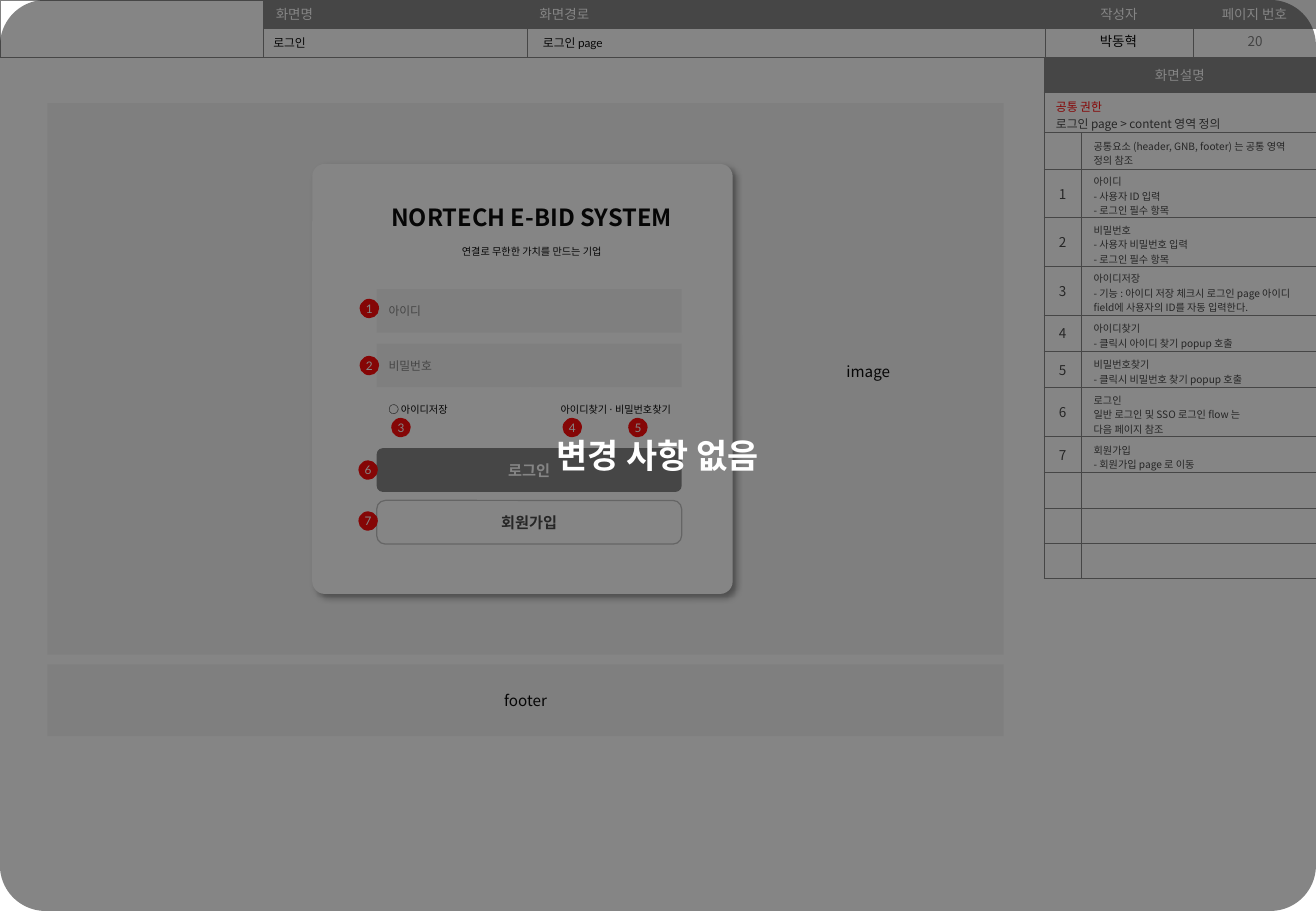
from lxml.etree import SubElement
from pptx import Presentation
from pptx.dml.color import RGBColor
from pptx.enum.shapes import MSO_SHAPE
from pptx.enum.text import MSO_ANCHOR, MSO_AUTO_SIZE, PP_ALIGN
from pptx.oxml.ns import qn
from pptx.util import Inches, Pt

COLORS = {
    "black": "000000", "white": "FFFFFF", "gray": "808080", "number": "797979",
    "dark": "404040", "panel": "F2F2F2", "outline": "BFBFBF", "red": "FF0000",
    "veil": "0D0D0D",
}
FONT, LATIN = "Noto Sans CJK KR", "Lato"
LEFT, CENTER, RIGHT = PP_ALIGN.LEFT, PP_ALIGN.CENTER, PP_ALIGN.RIGHT


def write(frame, text, size, color, align=LEFT, bold=False, font=FONT, margins=(0.1, 0.05)):
    frame.text = text
    frame.word_wrap = True
    frame.auto_size = MSO_AUTO_SIZE.NONE
    frame.vertical_anchor = MSO_ANCHOR.MIDDLE
    frame.margin_left = frame.margin_right = Inches(margins[0])
    frame.margin_top = frame.margin_bottom = Inches(margins[1])
    for para in frame.paragraphs:
        para.alignment = align
        for span in para.runs:
            span.font.size = Pt(size)
            span.font.bold = bold
            span.font.name = font
            span.font.color.rgb = RGBColor.from_string(COLORS[color])
            SubElement(span.font._element, qn("a:ea"), typeface=FONT)


def add_box(left, top, width, height, fill=None, radius=0, line=None):
    box = page.shapes.add_shape(MSO_SHAPE.ROUNDED_RECTANGLE, Inches(left), Inches(top),
                                Inches(width), Inches(height))
    box.adjustments[0] = radius
    box.shadow.inherit = False
    if fill:
        box.fill.solid()
        box.fill.fore_color.rgb = RGBColor.from_string(COLORS[fill])
    else:
        box.fill.background()
    if line:
        box.line.color.rgb = RGBColor.from_string(COLORS[line])
        box.line.width = Pt(0.75)
    else:
        box.line.fill.background()
    return box


deck = Presentation()
deck.slide_width, deck.slide_height = Inches(10.83), Inches(7.5)
page = deck.slides.add_slide(deck.slide_layouts[5])

# Screen name as the slide title
title = page.shapes.title
title.left, title.top, title.width, title.height = map(Inches, (2.15, 0.24, 2.22, 0.22))
write(title.text_frame, "로그인", 7, "black", font=LATIN)

# Header and description tables
header_rows = [["", "화면명", "화면경로", "작성자", "페이지 번호"], [""] * 5]
description_rows = [
    ["화면설명", ""],
    ["공통 권한\n로그인 page > content 영역 정의", ""],
    ["", "공통요소 (header, GNB, footer) 는 공통 영역 정의 참조"],
    ["1", "아이디\n- 사용자 ID 입력\n- 로그인 필수 항목"],
    ["2", "비밀번호\n- 사용자 비밀번호 입력\n- 로그인 필수 항목"],
    ["3", "아이디저장\n- 기능 : 아이디 저장 체크시 로그인 page 아이디 field에 사용자의 ID를 자동 입력한다."],
    ["4", "아이디찾기\n- 클릭시 아이디 찾기 popup 호출"],
    ["5", "비밀번호찾기\n- 클릭시 비밀번호 찾기 popup 호출"],
    ["6", "로그인\n일반 로그인 및 SSO 로그인 flow 는\n다음 페이지 참조"],
    ["7", "회원가입\n- 회원가입 page 로 이동"],
    ["", ""], ["", ""], ["", ""],
]
description_heights = [0.29, 0.33, 0.3, 0.4, 0.4, 0.4, 0.3, 0.3, 0.4, 0.3, 0.29, 0.29, 0.29]
tables = []
for left, top, widths, heights, rows in [
    (0, 0, [2.17, 2.17, 4.26, 1.22, 1.01], [0.23, 0.24], header_rows),
    (8.59, 0.47, [0.31, 1.93], description_heights, description_rows),
]:
    table = page.shapes.add_table(len(rows), len(widths), Inches(left), Inches(top),
                                  Inches(sum(widths)), Inches(sum(heights))).table
    table.first_row = table.horz_banding = False
    for column, width in zip(table.columns, widths):
        column.width = Inches(width)
    for row, height, texts in zip(table.rows, heights, rows):
        row.height = Inches(height)
        for cell, text in zip(row.cells, texts):
            cell.text = text
            cell.vertical_anchor = MSO_ANCHOR.MIDDLE
            cell.margin_left = cell.margin_right = Inches(0.1)
            cell.margin_top = cell.margin_bottom = Inches(0.02)
            for side in ("L", "R", "T", "B"):
                border = SubElement(cell._tc.get_or_add_tcPr(), qn("a:ln" + side), w=str(Pt(0.25)))
                SubElement(SubElement(border, qn("a:solidFill")), qn("a:srgbClr"), val=COLORS["gray"])
            cell.fill.background()
            if not text:
                SubElement(cell.text_frame.paragraphs[0]._p, qn("a:endParaRPr"), sz="600")
    tables.append(table)

header, description = tables
header.cell(0, 0).merge(header.cell(1, 0))
for row in (0, 1):
    description.cell(row, 0).merge(description.cell(row, 1))

# Table text
headings = [(header.cell(0, column), LEFT if column < 3 else CENTER) for column in range(1, 5)]
for cell, align in headings + [(description.cell(0, 0), CENTER)]:
    cell.fill.solid()
    cell.fill.fore_color.rgb = RGBColor.from_string(COLORS["gray"])
    write(cell.text_frame, cell.text, 8, "white", align, margins=(0.1, 0.02))
    cell.margin_top = cell.margin_bottom = Inches(0.02)
for row in range(1, len(description_rows)):
    for column, size in enumerate((7 if row == 1 else 8, 6)):
        cell = description.cell(row, column)
        if not cell.text:
            continue
        numbered = row > 1 and column == 0
        write(cell.text_frame, cell.text, size, "dark", CENTER if numbered else LEFT)
        cell.margin_left = cell.margin_right = Inches(0.02 if numbered else 0.1)
        cell.margin_top = Inches(0.02 if numbered else 0.04)
        cell.margin_bottom = Inches(0.02 if numbered else 0)
common_role = description.cell(1, 0).text_frame.paragraphs[0].runs[0]
common_role.font.color.rgb = RGBColor.from_string(COLORS["red"])

# Header values
for left, top, width, height, text, size, color, align, font in [
    (8.59, 0.22, 1.23, 0.24, "박동혁", 8, "black", CENTER, FONT),
    (9.83, 0.22, 1, 0.24, "20", 8, "number", CENTER, FONT),
    (4.37, 0.24, 4.21, 0.22, "로그인 page", 7, "black", LEFT, LATIN),
]:
    value = page.shapes.add_textbox(Inches(left), Inches(top), Inches(width), Inches(height))
    write(value.text_frame, text, size, color, align, font=font)

# Page areas and login card
footer = add_box(0.39, 5.47, 7.87, 0.59, "panel")
write(footer.text_frame, "footer", 9, "black", CENTER)
add_box(0.39, 0.85, 7.87, 4.54, "panel")
card = add_box(2.57, 1.35, 3.46, 3.54, "white", 0.03)
effects = card._element.spPr.find(qn("a:effectLst"))
shadow = SubElement(effects, qn("a:outerShdw"), blurRad=str(Pt(4)), dist=str(Pt(3)),
                    dir=str(45 * 60000), algn="tl", rotWithShape="0")
shadow_color = SubElement(shadow, qn("a:srgbClr"), val=COLORS["black"])
SubElement(shadow_color, qn("a:alpha"), val="40000")

# Login form
for left, top, width, height, fill, radius, line, text, size, color, align, bold in [
    (3.12, 1.93, 2.51, 0.28, "white", 0, None, "연결로 무한한 가치를 만드는 기업", 6, "black", CENTER, False),
    (3.1, 2.38, 2.51, 0.36, "panel", 0, None, "아이디", 7, "gray", LEFT, False),
    (3.1, 2.83, 2.51, 0.36, "panel", 0, None, "비밀번호", 7, "gray", LEFT, False),
    (3.1, 3.19, 1.27, 0.36, "white", 0, None, "⃝ 아이디저장", 6, "black", LEFT, False),
    (3.1, 3.69, 2.51, 0.36, "gray", 0.14, None, "로그인", 9, "white", CENTER, True),
    (6.64, 2.85, 1.01, 0.42, None, 0, None, "image", 9, "black", CENTER, False),
    (4.35, 3.19, 1.27, 0.36, "white", 0, None, "아이디찾기 ⋅ 비밀번호찾기", 6, "black", RIGHT, False),
    (3.12, 1.64, 2.51, 0.3, "white", 0, None, "NORTECH E-BID SYSTEM", 14, "black", CENTER, True),
    (3.1, 4.12, 2.51, 0.36, "white", 0.2, "outline", "회원가입", 9, "dark", CENTER, True),
]:
    field = add_box(left, top, width, height, fill, radius, line)
    write(field.text_frame, text, size, color, align, bold, margins=(0.1, 0.1))

# Numbered badges
badge_places = [(2.96, 2.46), (2.96, 2.93), (3.22, 3.44), (4.63, 3.44), (5.17, 3.44),
                (2.95, 3.79), (2.95, 4.21)]
for number, (left, top) in enumerate(badge_places, 1):
    badge = add_box(left, top, 0.16, 0.16, "red", 0.5)
    write(badge.text_frame, str(number), 7, "white", CENTER, font=LATIN, margins=(0, 0))

# Translucent veil
veil = add_box(0, 0, 10.83, 7.5, "veil", 0.05)
veil_color = veil._element.spPr.find(qn("a:solidFill")).find(qn("a:srgbClr"))
SubElement(veil_color, qn("a:alpha"), val="50000")
write(veil.text_frame, "변경 사항 없음", 20, "white", CENTER, True, margins=(0.1, 0.1))

deck.save("out.pptx")
